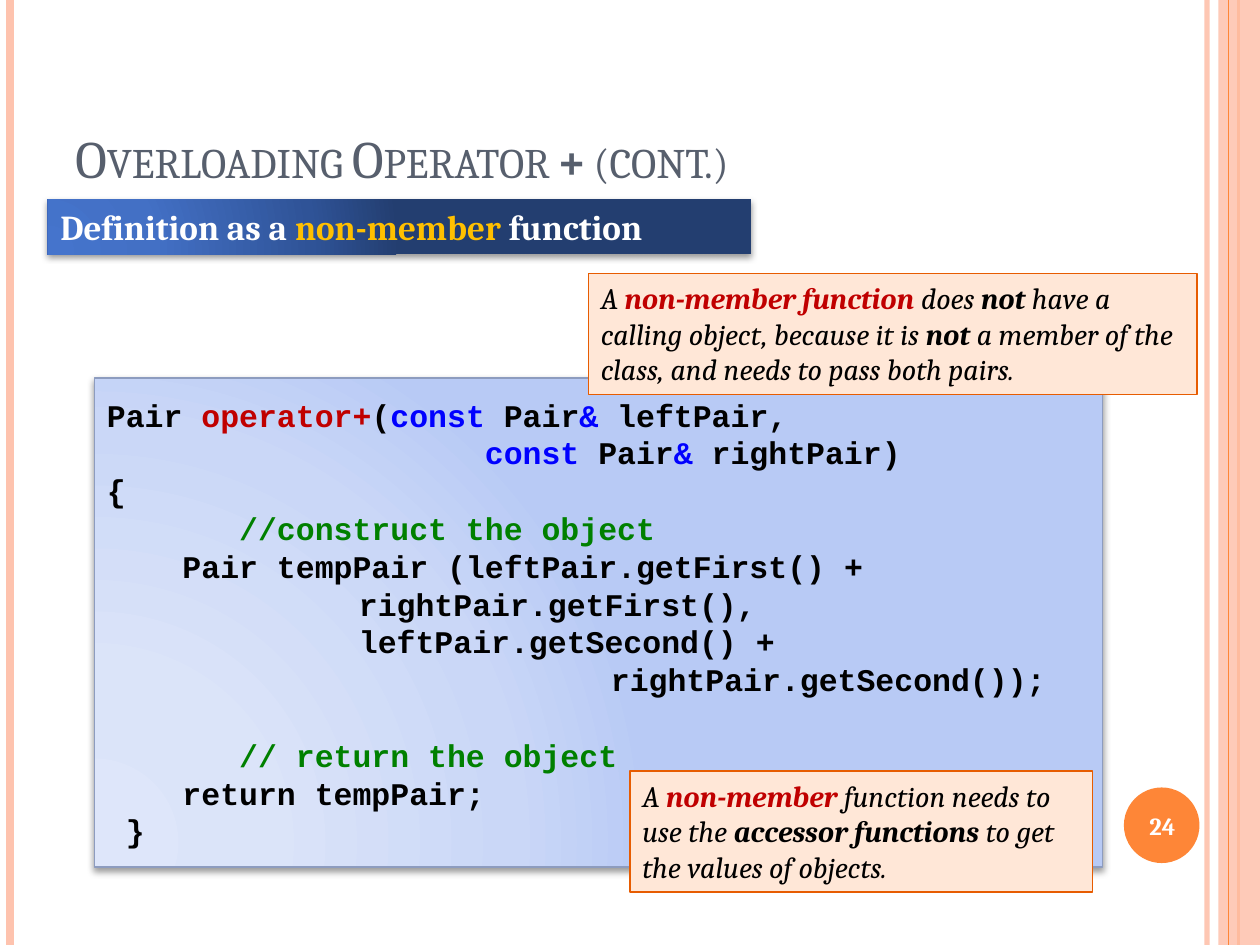
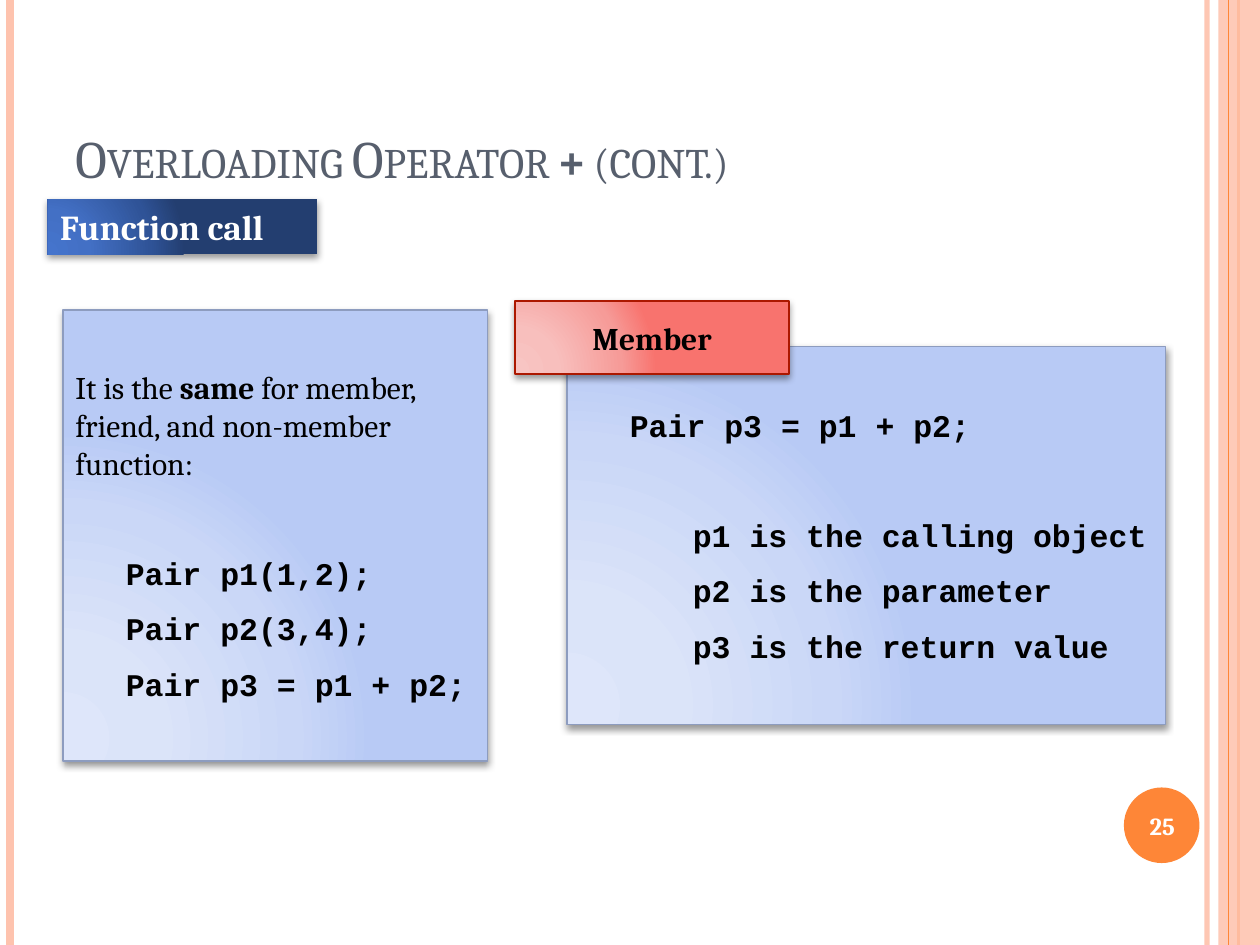
from lxml.etree import SubElement
from pptx import Presentation
from pptx.dml.color import RGBColor
from pptx.enum.shapes import MSO_CONNECTOR, MSO_SHAPE
from pptx.enum.text import MSO_ANCHOR, PP_ALIGN
from pptx.oxml.ns import qn
from pptx.util import Inches, Pt

WIDTH, HEIGHT = 10, 7.5
SERIF, MONO = "Cambria", "Courier New"
PEACH, ORANGE = "FEC3AE", "FE8637"
CHAR = 0.15  # width of one 18 pt code character

# Gradient stops, outline
PANEL = (("DEE6FA", "DBE4F9", "CAD7F7", "B8CAF5"), "8D9CBF")
LABEL = (("F8C5C3", "F8BFBD", "F69B98", "F8736E"), "AC1800")
BANNER = (("4574CC", "4370C5", "2F5397", "233E70"), None)

# Text formats
CODE = dict(name=MONO, size=18, bold=True, color="000000")
RED, BLUE, GREEN = (CODE | dict(color=c) for c in ("C00000", "0000FF", "008000"))
BODY = dict(name=SERIF, size=18, color="000000")
STRONG = BODY | dict(bold=True)
NOTE = dict(name=SERIF, size=17, italic=True, color="000000")
NOTE_BOLD = NOTE | dict(bold=True)
NOTE_RED = NOTE_BOLD | dict(color="C00000")
HEAD = dict(name=SERIF, size=20, bold=True, color="FFFFFF")
HEAD_GOLD = HEAD | dict(color="FFC000")
NUMBER = dict(name=SERIF, size=14, bold=True, color="FFFFFF")
TITLE = dict(name=SERIF, size=30, color="575F6D")
TITLE_CODE = TITLE | dict(name=MONO, bold=True)

# Content: a paragraph is (spans, left indent, space before)
TITLE_SPANS = [("Overloading Operator ", TITLE), ("+", TITLE_CODE), (" (cont.)", TITLE)]

OPERATOR_CODE = [
    ([("Pair ", CODE), ("operator+", RED), ("(", CODE), ("const", BLUE),
      (" Pair", CODE), ("& ", BLUE), ("leftPair,", CODE)], 0, 0),
    ([("const ", BLUE), ("Pair", CODE), ("& ", BLUE), ("rightPair)", CODE)], 20 * CHAR, 0),
    ([("{", CODE)], 0, 0),
    ([("//construct the object", GREEN)], 7 * CHAR, 0),
    ([("Pair tempPair (leftPair.getFirst() +", CODE)], 4 * CHAR, 0),
    ([("rightPair.getFirst(),", CODE)], 2, 0),
    ([("leftPair.getSecond() +", CODE)], 2, 0),
    ([("rightPair.getSecond());", CODE)], 4, 0),
    ([("// return the object", GREEN)], 7 * CHAR, 21.6),
    ([("return tempPair;", CODE)], 4 * CHAR, 0),
    ([("}", CODE)], CHAR, 0),
]
CALLING_NOTE = [
    ("A ", NOTE), ("non-member function ", NOTE_RED), ("does ", NOTE), ("not", NOTE_BOLD),
    (" have a calling object, because it is ", NOTE), ("not", NOTE_BOLD),
    (" a member of the class, and needs to pass both pairs.", NOTE)]
ACCESSOR_NOTE = [
    ("A ", NOTE), ("non-member ", NOTE_RED), ("function needs to use the ", NOTE),
    ("accessor functions ", NOTE_BOLD), ("to get the values of objects.", NOTE)]

GAP, WIDE_GAP = 10.2, 41
SAME_CALL = [
    ([("It is the ", BODY), ("same", STRONG),
      (" for member, friend, and non-member function:", BODY)], 0, GAP),
    ([("Pair p1(1,2);", CODE)], 0.4, WIDE_GAP),
    ([("Pair p2(3,4);", CODE)], 0.4, GAP),
    ([("Pair p3 = p1 + p2;", CODE)], 0.4, GAP),
]
MEMBER_CALL = [
    ([("Pair p3 = p1 + p2;", CODE)], 0.4, GAP),
    ([("p1 is the calling object", CODE)], 0.9, WIDE_GAP),
    ([("p2 is the parameter", CODE)], 0.9, GAP),
    ([("p3 is the return value", CODE)], 0.9, GAP),
]


def rgb(value):
    return RGBColor.from_string(value)


def add_color(parent, value, alpha=None):
    color = SubElement(parent, qn("a:srgbClr"), val=value)
    if alpha:
        SubElement(color, qn("a:alpha"), val=str(alpha * 1000))


def set_alpha(element, alpha):
    color = next(element.iter(qn("a:srgbClr")))
    SubElement(color, qn("a:alpha"), val=str(alpha * 1000))


def write(shape, paragraphs, anchor=MSO_ANCHOR.MIDDLE, align=PP_ALIGN.LEFT, spacing=None):
    frame = shape.text_frame
    frame.word_wrap = True
    frame.vertical_anchor = anchor
    for index, (spans, indent, before) in enumerate(paragraphs):
        para = frame.paragraphs[0] if index == 0 else frame.add_paragraph()
        para.alignment = align
        para.space_before = Pt(before)
        if spacing:
            para.line_spacing = Pt(spacing)
        properties = para._p.get_or_add_pPr()
        properties.set("marL", str(Inches(indent)))
        properties.set("indent", "0")
        for text, style in spans:
            span = para.add_run()
            span.text = text
            for key, value in style.items():
                if key == "color":
                    span.font.color.rgb = rgb(value)
                else:
                    setattr(span.font, key, Pt(value) if key == "size" else value)


def add_box(page, place, fill=None, line=None, width=1, kind=MSO_SHAPE.RECTANGLE):
    box = page.shapes.add_shape(kind, *map(Inches, place))
    box.shadow.inherit = False
    if fill:
        box.fill.solid()
        box.fill.fore_color.rgb = rgb(fill)
    if line:
        box.line.color.rgb = rgb(line)
        box.line.width = Pt(width)
    else:
        box.line.fill.background()
    return box


def add_glossy(page, place, look):
    """Box with a radial gradient from the lower left and a soft shadow."""
    stops, line = look
    box = add_box(page, place, stops[-1], line)
    properties = box._element.spPr
    solid = properties.find(qn("a:solidFill"))
    gradient = SubElement(properties, qn("a:gradFill"), rotWithShape="1")
    stop_list = SubElement(gradient, qn("a:gsLst"))
    for position, color in zip((0, 30, 75, 100), stops):
        add_color(SubElement(stop_list, qn("a:gs"), pos=str(position * 1000)), color)
    circle = SubElement(gradient, qn("a:path"), path="circle")
    SubElement(circle, qn("a:fillToRect"), l="5000", t="100000", r="120000", b="10000")
    properties.replace(solid, gradient)
    shadow = SubElement(properties.find(qn("a:effectLst")), qn("a:outerShdw"),
                        blurRad=str(Pt(4)), dist=str(Pt(2)), dir="5400000",
                        algn="ctr", rotWithShape="0")
    add_color(shadow, "000000", 40)
    return box


def add_rule(page, x, color, width, alpha=None):
    rule = page.shapes.add_connector(
        MSO_CONNECTOR.STRAIGHT, Inches(x), 0, Inches(x), Inches(HEIGHT))
    rule.line.color.rgb = rgb(color)
    rule.line.width = Pt(width)
    properties = rule._element.spPr
    if alpha:
        set_alpha(properties, alpha)
    SubElement(properties, qn("a:effectLst"))


def add_page(deck):
    """Blank page with the edge bands and the number disc."""
    page = deck.slides.add_slide(deck.slide_layouts[6])
    add_rule(page, 9.58, PEACH, 3, 93)
    add_rule(page, 0.08, PEACH, 4.5)
    add_rule(page, 9.83, ORANGE, 1.5)
    band = add_box(page, (9.67, 0, WIDTH - 9.67, HEIGHT), PEACH)
    set_alpha(band._element.spPr, 87)
    add_rule(page, 9.75, ORANGE, 0.75)
    add_box(page, (8.92, 6.25, 0.6, 0.6), ORANGE, kind=MSO_SHAPE.OVAL)
    return page


def add_heading(page, number, banner, banner_width):
    title = page.shapes.add_textbox(*map(Inches, (0.5, 0.3, 9.17, 1.25)))
    write(title, [(TITLE_SPANS, 0, 0)], MSO_ANCHOR.BOTTOM)
    for span in title.text_frame.paragraphs[0].runs:
        span.font._element.set("cap", "small")
    label = page.shapes.add_textbox(*map(Inches, (8.89, 6.27, 0.67, 0.57)))
    write(label, [([(str(number), NUMBER)], 0, 0)], align=PP_ALIGN.CENTER)
    box = add_glossy(page, (0.38, 1.58, banner_width, 0.44), BANNER)
    write(box, [(banner, 0, 0)])


def add_note(page, place, spans):
    box = add_box(page, place, "FFE7D7", "E75C01", 0.75)
    write(box, [(spans, 0, 0)], MSO_ANCHOR.TOP)


deck = Presentation()
deck.slide_width, deck.slide_height = Inches(WIDTH), Inches(HEIGHT)

# Definition of the operator
page = add_page(deck)
write(add_glossy(page, (0.75, 3, 8, 3.88), PANEL), OPERATOR_CODE, spacing=21.6)
add_heading(page, 24, [("Definition as a ", HEAD), ("non-member ", HEAD_GOLD),
                       ("function", HEAD)], 5.58)
add_note(page, (4.67, 2.17, 4.83, 0.96), CALLING_NOTE)
add_note(page, (5, 6.12, 3.67, 0.96), ACCESSOR_NOTE)

# Calling the operator
page = add_page(deck)
add_heading(page, 25, [("Function call", HEAD)], 2.14)
write(add_glossy(page, (0.5, 2.46, 3.37, 3.58), PANEL), SAME_CALL)
write(add_glossy(page, (4.5, 2.75, 4.75, 3), PANEL), MEMBER_CALL)
member = add_glossy(page, (4.09, 2.39, 2.17, 0.58), LABEL)
write(member, [([("Member", STRONG)], 0, 0)], align=PP_ALIGN.CENTER)

deck.save("out.pptx")
